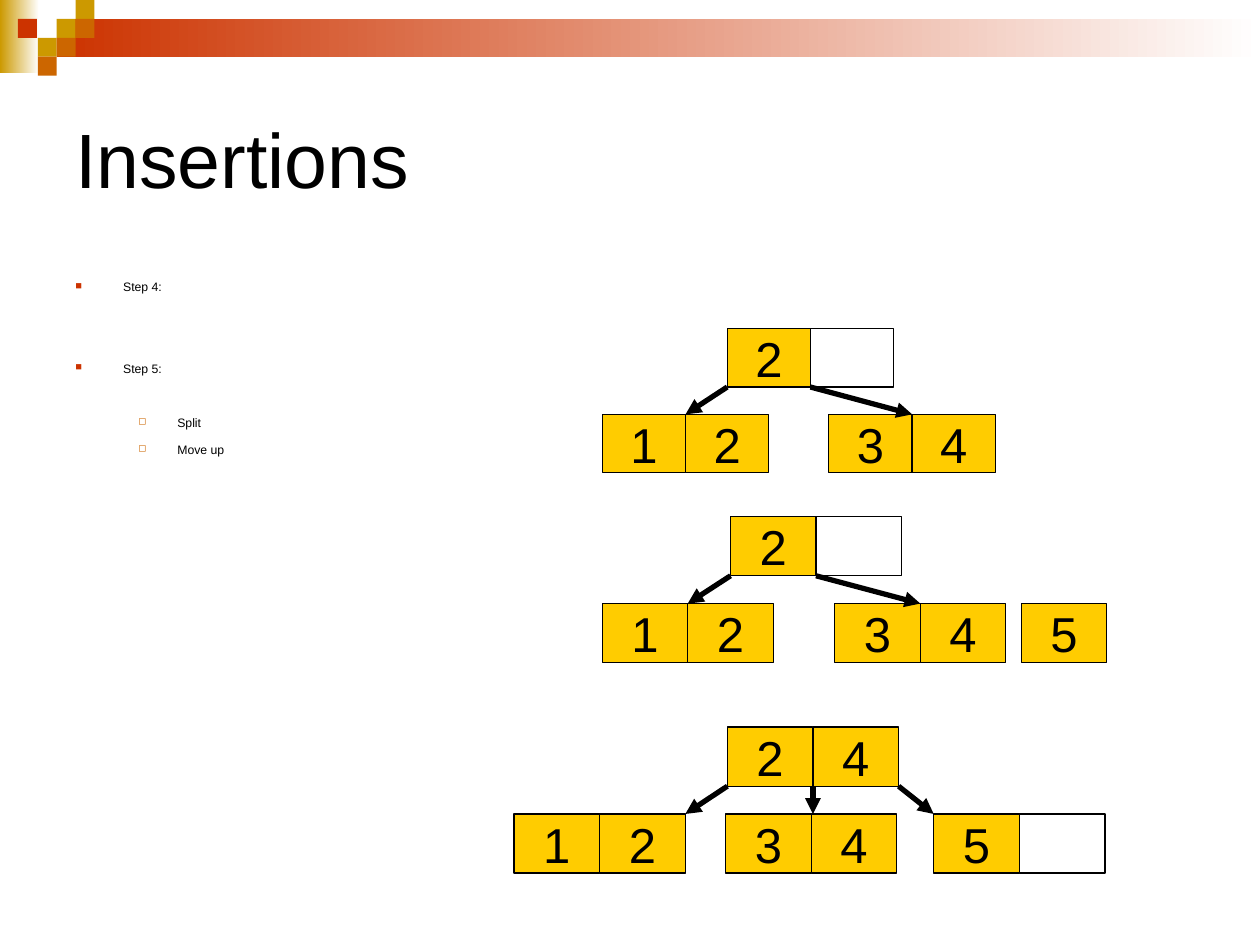
from dataclasses import dataclass

from lxml.etree import SubElement
from pptx import Presentation
from pptx.dml.color import RGBColor
from pptx.enum.shapes import MSO_CONNECTOR, MSO_SHAPE
from pptx.enum.text import MSO_ANCHOR, PP_ALIGN
from pptx.oxml.ns import qn
from pptx.util import Inches, Pt


@dataclass(frozen=True)
class Theme:
    font: str = "Arial"
    ink: str = "000000"
    paper: str = "FFFFFF"
    red: str = "CC3300"
    orange: str = "CC6600"
    gold: str = "CC9900"
    key_fill: str = "FFCC00"
    title_size: float = 44
    key_size: float = 28
    step_size: float = 7
    outline: float = 0.75
    arrow: float = 3


@dataclass(frozen=True)
class Box:
    left: float
    top: float
    width: float
    height: float

    def share(self, x, y, width, height):
        """Return the box that takes the given shares of this one."""
        return Box(self.left + x * self.width, self.top + y * self.height,
                   width * self.width, height * self.height)

    def inches(self):
        return [Inches(v) for v in (self.left, self.top, self.width, self.height)]


THEME = Theme()
SLIDE = Box(0, 0, 10, 7.5)
# (level, text, space before in points)
STEPS = [(0, "Step 4:", 0), (0, "Step 5:", 38), (1, "Split", 22.5), (1, "Move up", 7)]
# marker, colour, size in percent, text margin, hanging indent
BULLETS = [("■", THEME.red, 75, 0.38, -0.38), ("◻", THEME.orange, 80, 0.81, -0.31)]


def color(value):
    return RGBColor.from_string(value)


def add_run(paragraph, text, size):
    run = paragraph.add_run()
    run.text = text
    run.font.name = THEME.font
    run.font.size = Pt(size)
    run.font.color.rgb = color(THEME.ink)


def add_block(slide, box, fill, fade_to=None):
    """Add a plain rectangle, fading to the right if fade_to is given."""
    block = slide.shapes.add_shape(MSO_SHAPE.RECTANGLE, *box.inches())
    block.shadow.inherit = False
    block.line.fill.background()
    if fade_to:
        block.fill.gradient()
        block.fill.gradient_angle = 0
        for stop, shade, position in zip(block.fill.gradient_stops, (fill, fade_to), (0, 1)):
            stop.color.rgb = color(shade)
            stop.position = position
    else:
        block.fill.solid()
        block.fill.fore_color.rgb = color(fill)
    return block


def add_header(slide, box):
    """Lay the mosaic on a grid of squares, four rows high."""
    unit = box.height / 4

    def on_grid(column, row, columns=1, rows=1):
        return Box(box.left + column * unit, box.top + row * unit,
                   columns * unit, rows * unit)

    add_block(slide, on_grid(0, 0, 2.07, 3.87), THEME.gold, THEME.paper)
    add_block(slide, on_grid(3, 1, box.width / unit - 3, 2), THEME.red, THEME.paper)
    for column, row, fill in [(3, 1, THEME.gold), (4, 0, THEME.gold), (4, 1, THEME.orange),
                              (2, 2, THEME.gold), (0.95, 1, THEME.red),
                              (3, 2, THEME.orange), (2, 3, THEME.orange)]:
        add_block(slide, on_grid(column, row), fill)


def add_text_frame(slide, box, anchor):
    frame = slide.shapes.add_textbox(*box.inches()).text_frame
    frame.word_wrap = True
    frame.vertical_anchor = anchor
    return frame


def add_title(slide, box, text):
    frame = add_text_frame(slide, box, MSO_ANCHOR.MIDDLE)
    add_run(frame.paragraphs[0], text, THEME.title_size)


def set_bullet(paragraph, level):
    marker, shade, percent, margin, indent = BULLETS[level]
    properties = paragraph._p.get_or_add_pPr()
    properties.set("marL", str(Inches(margin)))
    properties.set("indent", str(Inches(indent)))
    SubElement(SubElement(properties, qn("a:buClr")), qn("a:srgbClr"), val=shade)
    SubElement(properties, qn("a:buSzPct"), val=str(percent * 1000))
    SubElement(properties, qn("a:buChar"), char=marker)


def add_steps(slide, box, steps):
    frame = add_text_frame(slide, box, MSO_ANCHOR.TOP)
    for index, (level, text, space) in enumerate(steps):
        paragraph = frame.add_paragraph() if index else frame.paragraphs[0]
        set_bullet(paragraph, level)
        paragraph.level = level
        paragraph.space_before = Pt(space)
        add_run(paragraph, text, THEME.step_size)


def add_key(slide, box, key):
    """Add one cell of a node; a blank key gives a free white cell."""
    cell = add_block(slide, box, THEME.paper if key == " " else THEME.key_fill)
    cell.line.color.rgb = color(THEME.ink)
    cell.line.width = Pt(THEME.outline)
    if key != " ":
        frame = cell.text_frame
        frame.word_wrap = False
        frame.vertical_anchor = MSO_ANCHOR.MIDDLE
        frame.paragraphs[0].alignment = PP_ALIGN.CENTER
        add_run(frame.paragraphs[0], key, THEME.key_size)


def add_arrow(slide, start, end):
    arrow = slide.shapes.add_connector(MSO_CONNECTOR.STRAIGHT,
                                       *(Inches(v) for v in (*start, *end)))
    arrow.line.color.rgb = color(THEME.ink)
    arrow.line.width = Pt(THEME.arrow)
    SubElement(arrow.line._get_or_add_ln(), qn("a:tailEnd"), type="triangle")
    SubElement(arrow._element.spPr, qn("a:effectLst"))


def add_tree(slide, box, columns, root, leaves, arrows):
    """Fit a two-level tree, `columns` cells wide, into the box.

    Nodes are (column, keys); arrows are (from, to) columns, running from
    the foot of the root to the top of the leaves.
    """
    cell_width, cell_height = 1 / columns, 0.405
    leaf_top = 1 - cell_height
    for row_top, nodes in ((0, [root]), (leaf_top, leaves)):
        for column, keys in nodes:
            for index, key in enumerate(keys):
                add_key(slide, box.share((column + index) * cell_width, row_top,
                                         cell_width, cell_height), key)
    for from_column, to_column in arrows:
        start = box.share(from_column * cell_width, cell_height, 0, 0)
        end = box.share(to_column * cell_width, leaf_top, 0, 0)
        add_arrow(slide, (start.left, start.top), (end.left, end.top))


def main():
    deck = Presentation()
    deck.slide_width, deck.slide_height = Inches(SLIDE.width), Inches(SLIDE.height)
    slide = deck.slides.add_slide(deck.slide_layouts[6])

    add_header(slide, SLIDE.share(0, 0, 1, 0.08))
    add_title(slide, Box(0.5, 0.5, 9, 1.5), "Insertions")
    add_steps(slide, Box(0.5, 2.17, 9, 1.58), STEPS)

    pair = [(0, "12"), (2.72, "34")]
    pair_arrows = [(1.5, 1), (2.5, 3.72)]
    add_tree(slide, Box(4.78, 2.61, 3.12, 1.14), 4.72, (1.5, "2 "), pair, pair_arrows)
    add_tree(slide, Box(4.78, 4.1, 3.99, 1.16), 5.88, (1.5, "2 "),
             [*pair, (4.9, "5")], pair_arrows)
    add_tree(slide, Box(4.08, 5.77, 4.69, 1.16), 6.9, (2.49, "24"),
             [(0, "12"), (2.47, "34"), (4.9, "5 ")],
             [(2.49, 2), (3.49, 3.49), (4.49, 4.9)])
    deck.save("out.pptx")


if __name__ == "__main__":
    main()
